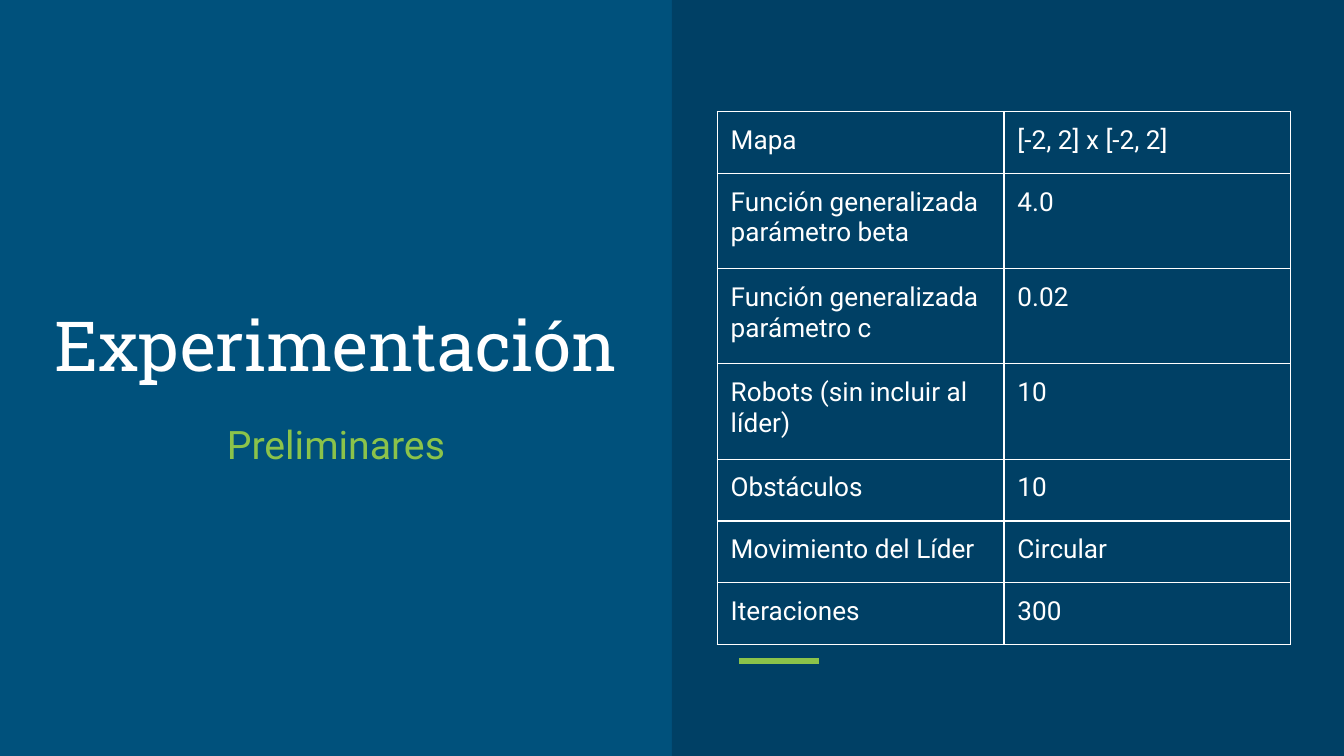
from dataclasses import dataclass

from lxml.etree import SubElement
from pptx import Presentation
from pptx.dml.color import RGBColor
from pptx.enum.shapes import MSO_CONNECTOR, MSO_SHAPE
from pptx.enum.text import MSO_ANCHOR, MSO_AUTO_SIZE, PP_ALIGN
from pptx.oxml.ns import qn
from pptx.util import Inches, Pt


@dataclass(frozen=True)
class Theme:
    background: str = "00517C"
    panel: str = "004065"
    text: str = "FFFFFF"
    accent: str = "8BC34A"
    title_font: str = "Roboto Slab"
    body_font: str = "Roboto"
    title_size: int = 37
    subtitle_size: int = 21
    table_size: int = 14
    border: float = 0.75
    accent_width: int = 3


@dataclass(frozen=True)
class Area:
    left: float
    top: float
    width: float
    height: float

    def box(self) -> tuple:
        return (across(self.left), down(self.top),
                across(self.width), down(self.height))


@dataclass(frozen=True)
class Parameter:
    name: str
    value: str
    lines: int = 1


THEME = Theme()
SLIDE_WIDTH = Inches(10)
SLIDE_HEIGHT = SLIDE_WIDTH * 9 // 16
INSET = Inches(0.1)
ROW_SHARES = {1: 8.18, 2: 12.61}

PANEL = Area(50, 0, 50, 100)
TITLE = Area(2.9, 23.47, 44.2, 29.33)
SUBTITLE = Area(2.9, 53.87, 44.2, 26.13)
ACCENT = Area(55, 87.47, 5.94, 0)

PARAMETERS = [
    Parameter("Mapa", "[-2, 2] x [-2, 2]"),
    Parameter("Función generalizada parámetro beta", "4.0", 2),
    Parameter("Función generalizada parámetro c", "0.02", 2),
    Parameter("Robots (sin incluir al líder)", "10", 2),
    Parameter("Obstáculos", "10"),
    Parameter("Movimiento del Líder", "Circular"),
    Parameter("Iteraciones", "300"),
]
TABLE = Area(53.37, 14.74, 42.67, sum(ROW_SHARES[p.lines] for p in PARAMETERS))


def across(percent: float) -> int:
    return round(SLIDE_WIDTH * percent / 100)


def down(percent: float) -> int:
    return round(SLIDE_HEIGHT * percent / 100)


def color(code: str) -> RGBColor:
    return RGBColor.from_string(code)


def write(paragraph, words: str, font: str, size: int, code: str) -> None:
    run = paragraph.add_run()
    run.text = words
    run.font.name = font
    run.font.size = Pt(size)
    run.font.color.rgb = color(code)


def set_insets(holder) -> None:
    holder.margin_left = holder.margin_right = INSET
    holder.margin_top = holder.margin_bottom = INSET


def fill_heading(placeholder, area: Area, anchor, words: str,
                 font: str, size: int, code: str) -> None:
    placeholder.left, placeholder.top, placeholder.width, placeholder.height = area.box()
    frame = placeholder.text_frame
    frame.word_wrap = True
    frame.auto_size = MSO_AUTO_SIZE.NONE
    frame.vertical_anchor = anchor
    set_insets(frame)
    paragraph = frame.paragraphs[0]
    paragraph.alignment = PP_ALIGN.CENTER
    paragraph.space_before = Pt(0)
    write(paragraph, words, font, size, code)


def draw_panel(slide) -> None:
    panel = slide.shapes.add_shape(MSO_SHAPE.RECTANGLE, *PANEL.box())
    panel.shadow.inherit = False
    panel.fill.solid()
    panel.fill.fore_color.rgb = color(THEME.panel)
    panel.line.fill.background()


def draw_accent(slide) -> None:
    left, top, width, height = ACCENT.box()
    accent = slide.shapes.add_connector(
        MSO_CONNECTOR.STRAIGHT, left, top, left + width, top + height)
    accent.line.color.rgb = color(THEME.accent)
    accent.line.width = Pt(THEME.accent_width)
    SubElement(accent._element.spPr, qn("a:effectLst"))


def draw_borders(cell) -> None:
    properties = cell._tc.get_or_add_tcPr()
    for position, side in enumerate(("lnL", "lnR", "lnT", "lnB")):
        border = SubElement(properties, qn(f"a:{side}"), w=str(Pt(THEME.border)))
        properties.insert(position, border)
        solid = SubElement(border, qn("a:solidFill"))
        SubElement(solid, qn("a:srgbClr"), val=THEME.text)


def draw_parameters(slide) -> None:
    table = slide.shapes.add_table(len(PARAMETERS), 2, *TABLE.box()).table
    table.first_row = False
    table.horz_banding = False
    for column in table.columns:
        column.width = across(TABLE.width / 2)
    for row, parameter in zip(table.rows, PARAMETERS):
        row.height = down(ROW_SHARES[parameter.lines])
        for cell, words in zip(row.cells, (parameter.name, parameter.value)):
            cell.fill.background()
            set_insets(cell)
            draw_borders(cell)
            write(cell.text_frame.paragraphs[0], words,
                  THEME.body_font, THEME.table_size, THEME.text)


def main() -> None:
    deck = Presentation()
    deck.slide_width, deck.slide_height = SLIDE_WIDTH, SLIDE_HEIGHT
    slide = deck.slides.add_slide(deck.slide_layouts[0])
    slide.background.fill.solid()
    slide.background.fill.fore_color.rgb = color(THEME.background)
    draw_panel(slide)
    draw_accent(slide)
    fill_heading(slide.shapes.title, TITLE, MSO_ANCHOR.BOTTOM, "Experimentación",
                 THEME.title_font, THEME.title_size, THEME.text)
    fill_heading(slide.placeholders[1], SUBTITLE, MSO_ANCHOR.TOP, "Preliminares",
                 THEME.body_font, THEME.subtitle_size, THEME.accent)
    draw_parameters(slide)
    deck.save("out.pptx")


if __name__ == "__main__":
    main()
